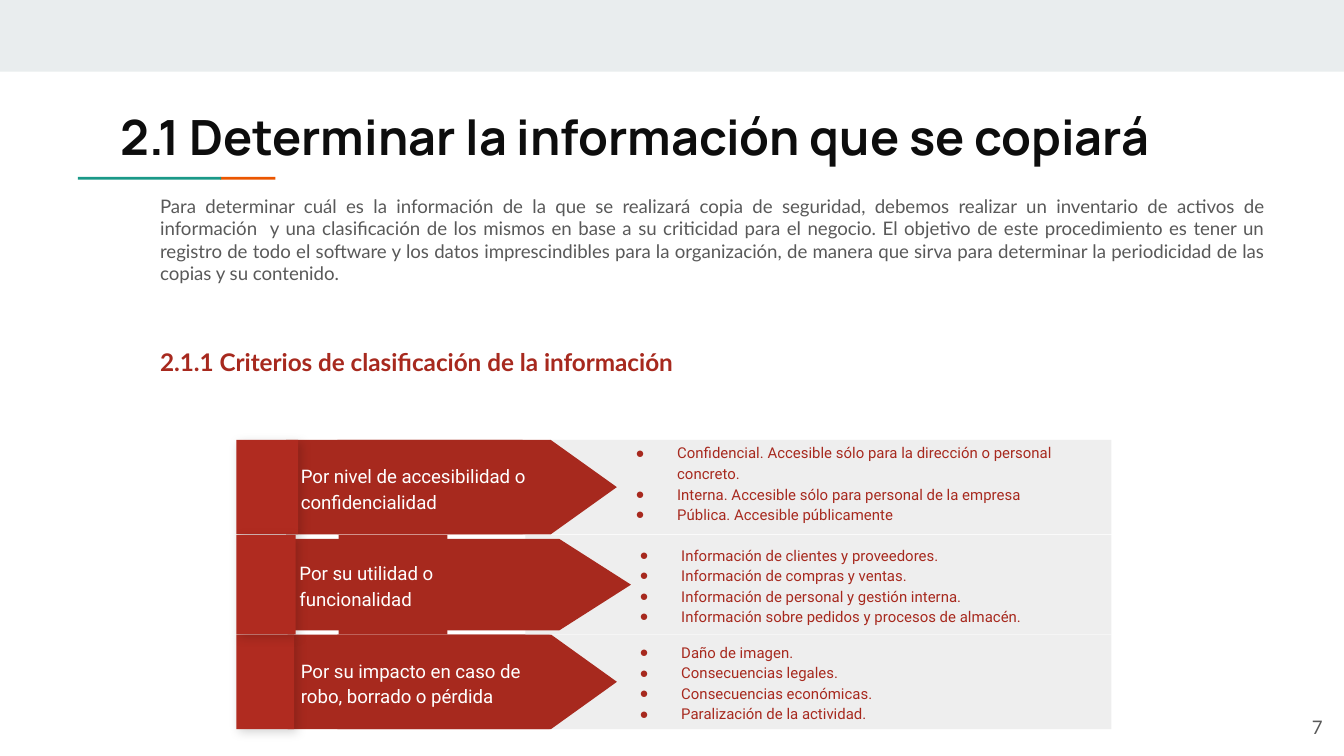
import pptx
import pptx.dml.color
import pptx.enum.shapes
import pptx.enum.text
import pptx.oxml
import pptx.oxml.ns
import pptx.util
from dataclasses import dataclass
from typing import Any, NamedTuple

CELL = pptx.util.Inches(0.1)  # the slide is a grid of 100 by 56.25 square cells
COLORS = {
    "header": "E9EDEE", "orange": "EB5600", "teal": "1A9988", "title": "0D0D0D",
    "body": "595959", "red": "A7291E", "tab": "B02B20", "panel": "EEEEEE", "white": "FFFFFF",
}
SHAPES = pptx.enum.shapes.MSO_SHAPE
ALIGN = pptx.enum.text.PP_ALIGN
ANCHOR = pptx.enum.text.MSO_ANCHOR


class Box(NamedTuple):
    column: float
    row: float
    columns: float
    rows: float

    def emu(self) -> list[int]:
        return [round(value * CELL) for value in self]


class Span(NamedTuple):
    column: float
    columns: float


@dataclass
class Style:
    font: str
    size: float
    color: str
    bold: bool = False


@dataclass
class Band:
    """One criterion: its label on the arrow and its bullets on the panel."""
    row: float
    rows: float
    panel_column: float
    tab_columns: float
    filler: Span
    arrow: Box
    label: str
    label_span: Span
    bullet_box: Box
    bullets: list[str]


TITLE = Style("Manrope", 26, "title", True)
BODY = Style("Lato", 10, "body")
HEADING = Style("Lato", 13, "red", True)
LABEL = Style("Roboto", 10, "white")
BULLET = Style("Roboto", 8, "red")
TAB_COLUMN, PANEL_END = 17.6, 82.7

BANDS = [
    Band(47.22, 7.03, 40.9, 4.3, Span(25.1, 15.8), Box(21.4, 47.22, 24.5, 7.03),
         "Por su impacto en caso de robo, borrado o pérdida", Span(21.4, 21.2),
         Box(44.7, 47.22, 35.9, 7.03),
         ["Daño de imagen.", "Consecuencias legales.",
          "Consecuencias económicas.", "Paralización de la actividad."]),
    Band(32.73, 7.03, 40.9, 4.6, Span(25.1, 13.8), Box(21.3, 32.73, 24.6, 7.03),
         "Por nivel de accesibilidad o confidencialidad", Span(21.4, 23),
         Box(44.4, 32.4, 37.5, 7),
         ["Confidencial. Accesible sólo para la dirección o personal concreto.",
          "Interna. Accesible sólo para personal de la empresa",
          "Pública. Accesible públicamente"]),
    Band(39.8, 7.4, 39.1, 4.4, Span(25.2, 8.1), Box(20.3, 40.1, 26.65, 6.8),
         "Por su utilidad o funcionalidad", Span(21.3, 20.5),
         Box(44.7, 39.8, 36.5, 7.4),
         ["Información de clientes y proveedores.", "Información de compras y ventas.",
          "Información de personal y gestión interna.",
          "Información sobre pedidos y procesos de almacén."]),
]


def rgb(name: str) -> pptx.dml.color.RGBColor:
    return pptx.dml.color.RGBColor.from_string(COLORS[name])


def add_block(slide: Any, box: Box, color: str, preset: Any = SHAPES.RECTANGLE) -> Any:
    shape = slide.shapes.add_shape(preset, *box.emu())
    shape.shadow.inherit = False
    shape.fill.solid()
    shape.fill.fore_color.rgb = rgb(color)
    shape.line.fill.background()
    return shape


def add_arrow(slide: Any, box: Box) -> None:
    """Turn an off-page connector so that it points right and fills the box."""
    upright = Box(box.column + (box.columns - box.rows) / 2,
                  box.row + (box.rows - box.columns) / 2, box.rows, box.columns)
    add_block(slide, upright, "red", SHAPES.FLOWCHART_OFFPAGE_CONNECTOR).rotation = 270


def add_soft_shadow(shape: Any) -> None:
    effects = shape._element.spPr.find(pptx.oxml.ns.qn("a:effectLst"))
    effects.append(pptx.oxml.parse_xml(
        f'<a:outerShdw {pptx.oxml.ns.nsdecls("a")} blurRad="71120" dist="27940" '
        'dir="2700000" algn="tl" rotWithShape="0"><a:srgbClr val="000000">'
        '<a:alpha val="17000"/></a:srgbClr></a:outerShdw>'))


def add_text_frame(slide: Any, box: Box, anchor: Any = ANCHOR.TOP) -> Any:
    frame = slide.shapes.add_textbox(*box.emu()).text_frame
    settings = {"word_wrap": True, "vertical_anchor": anchor}
    settings |= {f"margin_{side}": CELL for side in ("left", "top", "right", "bottom")}
    for name, value in settings.items():
        setattr(frame, name, value)
    return frame


def write(paragraph: Any, text: str, style: Style, **layout: Any) -> None:
    for name, value in layout.items():
        setattr(paragraph, name, value)
    run = paragraph.add_run()
    run.text = text
    font = {"name": style.font, "size": pptx.util.Pt(style.size), "bold": style.bold}
    for name, value in font.items():
        setattr(run.font, name, value)
    run.font.color.rgb = rgb(style.color)


def add_bullet(paragraph: Any) -> None:
    properties = paragraph._p.get_or_add_pPr()
    properties.set("marL", str(pptx.util.Inches(0.5)))
    properties.set("indent", str(pptx.util.Inches(-0.31)))
    namespace = pptx.oxml.ns.nsdecls("a")
    for markup in (f'<a:buClr {namespace}><a:srgbClr val="{COLORS["red"]}"/></a:buClr>',
                   f'<a:buFont {namespace} typeface="Arial"/>',
                   f'<a:buChar {namespace} char="●"/>'):
        properties.append(pptx.oxml.parse_xml(markup))


def add_band(slide: Any, band: Band) -> None:
    add_block(slide, Box(band.panel_column, band.row,
                         PANEL_END - band.panel_column, band.rows), "panel")
    add_block(slide, Box(band.filler.column, band.row, band.filler.columns, band.rows), "red")
    add_arrow(slide, band.arrow)
    add_soft_shadow(add_block(
        slide, Box(TAB_COLUMN, band.row, band.tab_columns, band.rows), "tab"))
    label_box = Box(band.label_span.column, band.row, band.label_span.columns, band.rows)
    label = add_text_frame(slide, label_box, ANCHOR.MIDDLE)
    write(label.paragraphs[0], band.label, LABEL, line_spacing=1.15)
    frame = add_text_frame(slide, band.bullet_box, ANCHOR.MIDDLE)
    for index, text in enumerate(band.bullets):
        paragraph = frame.add_paragraph() if index else frame.paragraphs[0]
        add_bullet(paragraph)
        write(paragraph, text, BULLET, line_spacing=1.15)


def main() -> None:
    presentation = pptx.Presentation()
    presentation.slide_width, presentation.slide_height = 100 * CELL, round(56.25 * CELL)
    slide = presentation.slides.add_slide(presentation.slide_layouts[6])

    add_block(slide, Box(0, 0, 100, 5.33), "header")
    add_block(slide, Box(16.4, 13.17, 4.1, 0.2), "orange")
    add_block(slide, Box(5.8, 13.17, 10.65, 0.2), "teal")

    title = add_text_frame(slide, Box(8, 7, 84.1, 6))
    write(title.paragraphs[0], "2.1 Determinar la información que se copiará", TITLE,
          alignment=ALIGN.JUSTIFY)

    body = add_text_frame(slide, Box(10.93, 13.5, 84.1, 29.3))
    write(body.paragraphs[0],
          "Para determinar cuál es la información de la que se realizará copia de seguridad, "
          "debemos realizar un inventario de activos de información  y una clasificación de los "
          "mismos en base a su criticidad para el negocio. El objetivo de este procedimiento es "
          "tener un registro de todo el software y los datos imprescindibles para la "
          "organización, de manera que sirva para determinar la periodicidad de las copias y su "
          "contenido.", BODY, alignment=ALIGN.JUSTIFY)
    write(body.add_paragraph(), "2.1.1 Criterios de clasificación de la información", HEADING,
          line_spacing=1.15, space_before=pptx.util.Pt(31.2))

    number = add_text_frame(slide, Box(93.4, 51.95, 6, 4.3), ANCHOR.MIDDLE)
    write(number.paragraphs[0], "7", BODY, alignment=ALIGN.RIGHT)

    for band in BANDS:
        add_band(slide, band)
    presentation.save("out.pptx")


if __name__ == "__main__":
    main()
